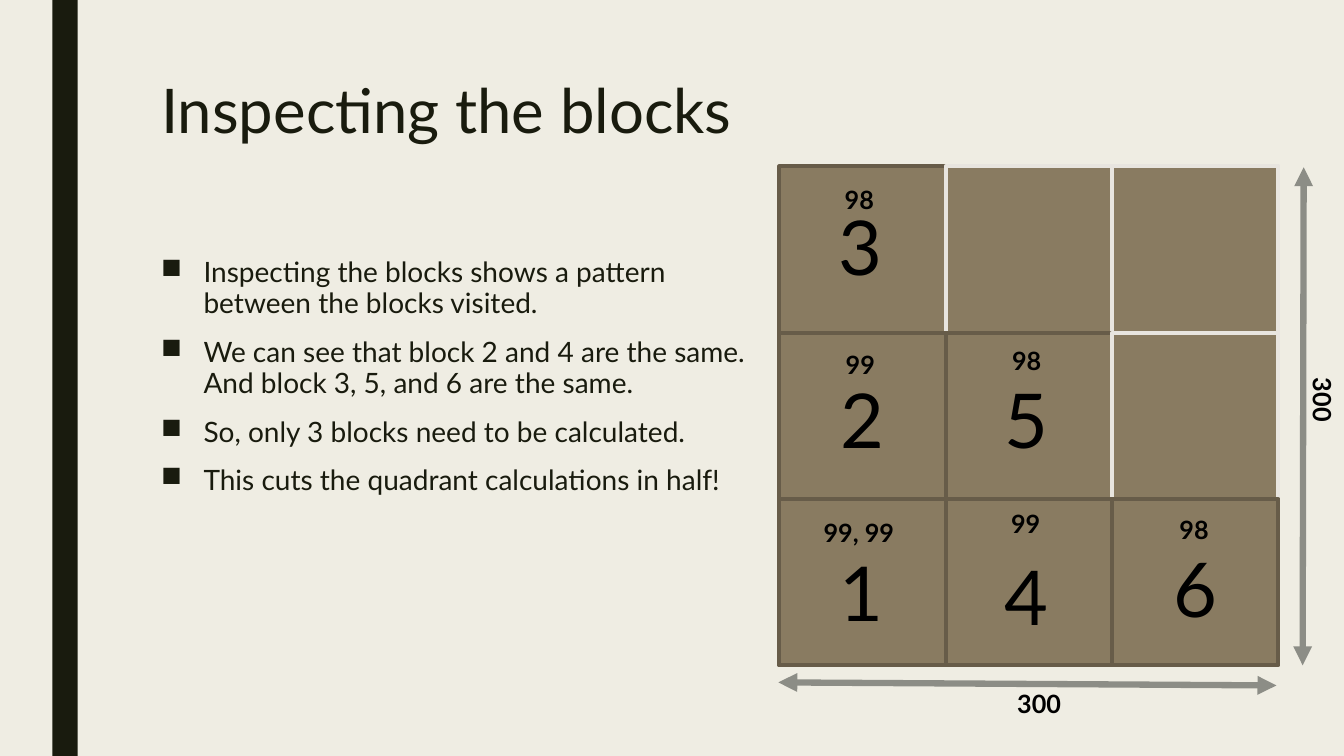
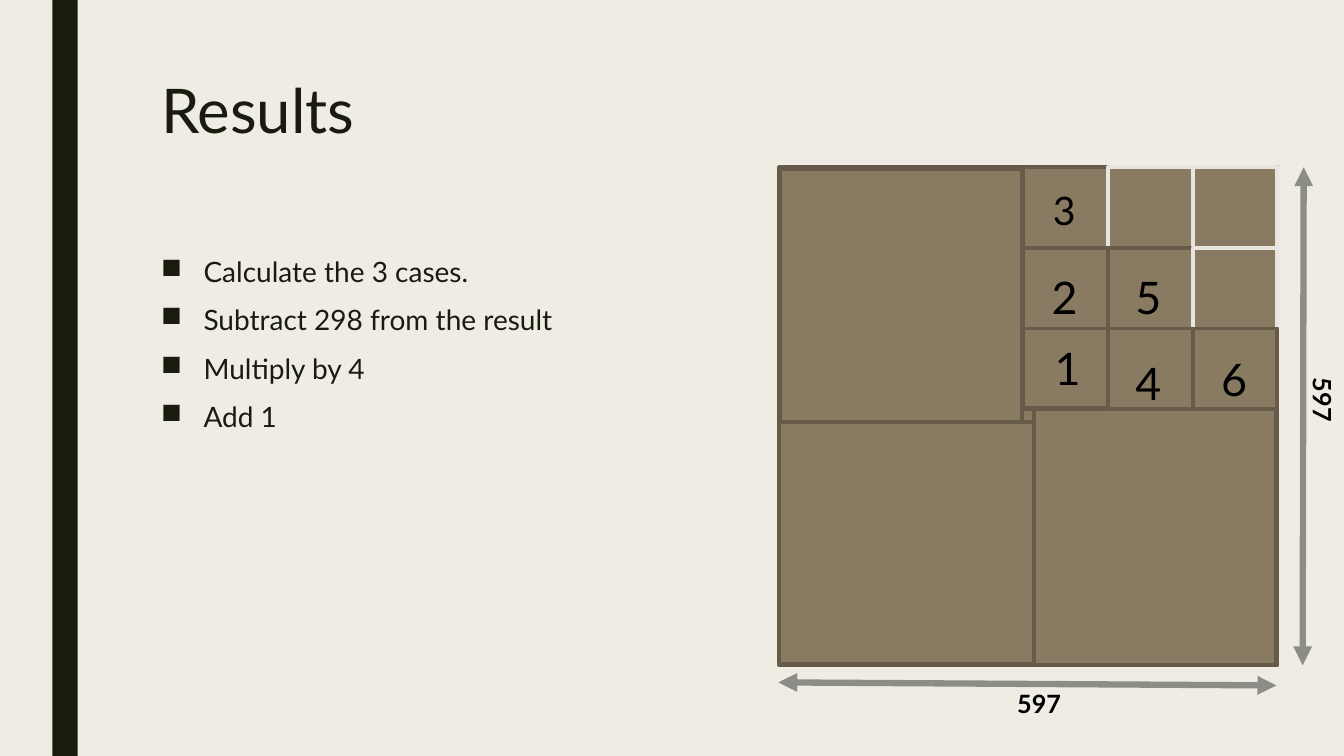
from dataclasses import dataclass

from lxml import etree
from pptx import Presentation
from pptx.dml.color import RGBColor
from pptx.enum.shapes import MSO_CONNECTOR, MSO_SHAPE
from pptx.enum.text import MSO_ANCHOR, MSO_AUTO_SIZE, PP_ALIGN
from pptx.oxml.ns import qn
from pptx.util import Inches, Pt

RECTANGLE = MSO_SHAPE.RECTANGLE
STRAIGHT = MSO_CONNECTOR.STRAIGHT
TOP = MSO_ANCHOR.TOP
FIT_SHAPE = MSO_AUTO_SIZE.SHAPE_TO_FIT_TEXT
LEFT, CENTER = PP_ALIGN.LEFT, PP_ALIGN.CENTER


@dataclass(frozen=True)
class Theme:
    font: str = "Lato"
    background: str = "EFEDE3"
    ink: str = "191B0E"
    black: str = "000000"
    block: str = "897B61"
    field_edge: str = "655B48"
    visited_edge: str = "675C49"
    unvisited_edge: str = "E8E5DF"
    arrow: str = "8C8D86"
    title_size: int = 44
    body_size: int = 20
    label_size: int = 18
    edge_width: float = 2.75
    arrow_width: float = 4.5


THEME = Theme()
EDGES = {"V": THEME.visited_edge, "U": THEME.unvisited_edge}


def rgb(code):
    return RGBColor.from_string(code)


# Text
def style_para(para, text, size, color=THEME.black, bold=False, align=LEFT):
    para.text = text
    para.alignment = align
    font = para.font
    font.name, font.size, font.bold = THEME.font, Pt(size), bold
    font.color.rgb = rgb(color)


def add_frame(shapes, left, top, width, height, wrap=True):
    box = shapes.add_textbox(*map(Inches, (left, top, width, height)))
    frame = box.text_frame
    frame.word_wrap = wrap
    frame.vertical_anchor = TOP
    return frame


def add_label(shapes, text, place, size=THEME.label_size, bold=True,
              align=LEFT, wrap=False, vertical=False):
    frame = add_frame(shapes, *place, wrap=wrap)
    frame.auto_size = FIT_SHAPE
    if vertical:
        frame._txBody.bodyPr.set("vert", "eaVert")
    style_para(frame.paragraphs[0], text, size, bold=bold, align=align)


def add_title(page, text):
    para = add_frame(page.shapes, 1.5, 0.75, 10.5, 1.62).paragraphs[0]
    style_para(para, text, THEME.title_size, THEME.ink)
    para.line_spacing = 0.89


def add_bullets(page, lines):
    frame = add_frame(page.shapes, 1.5, 2.5, 6.22, 3.92)
    for index, line in enumerate(lines):
        para = frame.add_paragraph() if index else frame.paragraphs[0]
        style_para(para, line, THEME.body_size, THEME.ink)
        para.line_spacing = 0.94
        para.space_before, para.space_after = Pt(10), Pt(2)
        props = para._p.get_or_add_pPr()
        props.set("marL", str(Inches(0.42)))
        props.set("indent", str(-Inches(0.42)))
        bullet = etree.Element(qn("a:buChar"), char="■")
        props.find(qn("a:defRPr")).addprevious(bullet)


# Shapes
def add_rect(shapes, left, top, width, height, fill=THEME.block,
             edge=THEME.field_edge):
    rect = shapes.add_shape(RECTANGLE, *map(Inches, (left, top, width, height)))
    rect.shadow.inherit = False
    rect.fill.solid()
    rect.fill.fore_color.rgb = rgb(fill)
    if edge:
        rect.line.color.rgb = rgb(edge)
        rect.line.width = Pt(THEME.edge_width)
    else:
        rect.line.fill.background()


def add_double_arrow(shapes, x1, y1, x2, y2):
    arrow = shapes.add_connector(STRAIGHT, *map(Inches, (x1, y1, x2, y2)))
    arrow.line.color.rgb = rgb(THEME.arrow)
    arrow.line.width = Pt(THEME.arrow_width)
    line = arrow.line._get_or_add_ln()
    for end in ("a:headEnd", "a:tailEnd"):
        etree.SubElement(line, qn(end), type="triangle")
    etree.SubElement(arrow._element.spPr, qn("a:effectLst"))


def add_field(shapes, size):
    """Square field with its width and height marked by arrows."""
    add_rect(shapes, 7.73, 1.66, 4.94, 4.94)
    add_double_arrow(shapes, 7.72, 6.77, 12.66, 6.8)
    add_double_arrow(shapes, 12.92, 6.6, 12.93, 1.66)
    add_label(shapes, size, (9.99, 6.78, 0.71, 0.4), wrap=True)
    add_label(shapes, size, (12.82, 3.65, 0.5, 0.72), wrap=True, vertical=True)


def add_blocks(shapes, left, top, width, height, rows):
    """Grid of blocks: V visited, U unvisited, a dot leaves the field bare."""
    for row, kinds in enumerate(rows):
        for column, kind in enumerate(kinds):
            if kind in EDGES:
                add_rect(shapes, left + column * width, top + row * height,
                         width, height, edge=EDGES[kind])


def add_numbers(shapes, numbers):
    for number, (left, top, width, height, size) in enumerate(numbers, 1):
        add_label(shapes, str(number), (left, top, width, height), size,
                  bold=False, align=CENTER)


# Pages
def add_page(deck, title, bullets):
    page = deck.slides.add_slide(deck.slide_layouts[6])
    add_rect(page.shapes, 0.52, 0, 0.25, 7.5, fill=THEME.ink, edge=None)
    add_title(page, title)
    add_bullets(page, bullets)
    return page


def build_inspection(deck):
    page = add_page(deck, "Inspecting the blocks", [
        "Inspecting the blocks shows a pattern between the blocks visited.",
        "We can see that block 2 and 4 are the same. "
        "And block 3, 5, and 6 are the same.",
        "So, only 3 blocks need to be calculated.",
        "This cuts the quadrant calculations in half!",
    ])
    diagram = page.shapes.add_group_shape().shapes
    add_field(diagram, "300")
    add_blocks(diagram, 7.73, 1.65, 1.65, 1.65, ["VUU", "VVU", "VVV"])
    corners = [(8.22, 5.37), (8.23, 3.65), (8.21, 1.93),
               (9.86, 5.41), (9.86, 3.65), (11.53, 5.33)]
    add_numbers(page.shapes, [(*corner, 0.65, 1.01, 54) for corner in corners])
    # Starting points above the block numbers
    for text, left, top, width in [
        ("99, 99", 8.07, 5.08, 0.92), ("99", 8.29, 3.42, 0.5),
        ("98", 8.28, 1.78, 0.5), ("99", 9.93, 4.99, 0.5),
        ("98", 9.94, 3.38, 0.5), ("98", 11.6, 5.05, 0.5),
    ]:
        add_label(page.shapes, text, (left, top, width, 0.4))


def build_results(deck):
    page = add_page(deck, "Results", [
        "Calculate the 3 cases.",
        "Subtract 298 from the result",
        "Multiply by 4",
        "Add 1",
    ])
    diagram = page.shapes.add_group_shape().shapes
    add_field(diagram, "597")
    # Four quadrants around the centre
    for quadrant in [(7.74, 1.68, 2.4, 2.52), (10.26, 4.06, 2.4, 2.54),
                     (10.14, 1.67, 2.53, 2.39), (7.73, 4.19, 2.53, 2.4)]:
        add_rect(diagram, *quadrant)
    # Blocks of the upper right quadrant
    quadrant = page.shapes.add_group_shape().shapes
    add_rect(quadrant, 10.15, 1.66, 2.52, 2.39)
    add_blocks(quadrant, 10.15, 1.66, 0.84, 0.8, ["VUU", "VVU", ".VV"])
    add_numbers(quadrant, [
        (10.36, 3.33, 0.46, 0.64, 32), (10.33, 2.63, 0.46, 0.64, 32),
        (10.34, 1.8, 0.43, 0.57, 28), (11.16, 3.48, 0.46, 0.64, 32),
        (11.16, 2.63, 0.46, 0.64, 32), (12.01, 3.44, 0.46, 0.64, 32),
    ])


def main():
    deck = Presentation()
    deck.slide_width, deck.slide_height = Inches(13.33), Inches(7.5)
    backdrop = deck.slide_master.background.fill
    backdrop.solid()
    backdrop.fore_color.rgb = rgb(THEME.background)
    build_inspection(deck)
    build_results(deck)
    deck.save("out.pptx")


if __name__ == "__main__":
    main()
